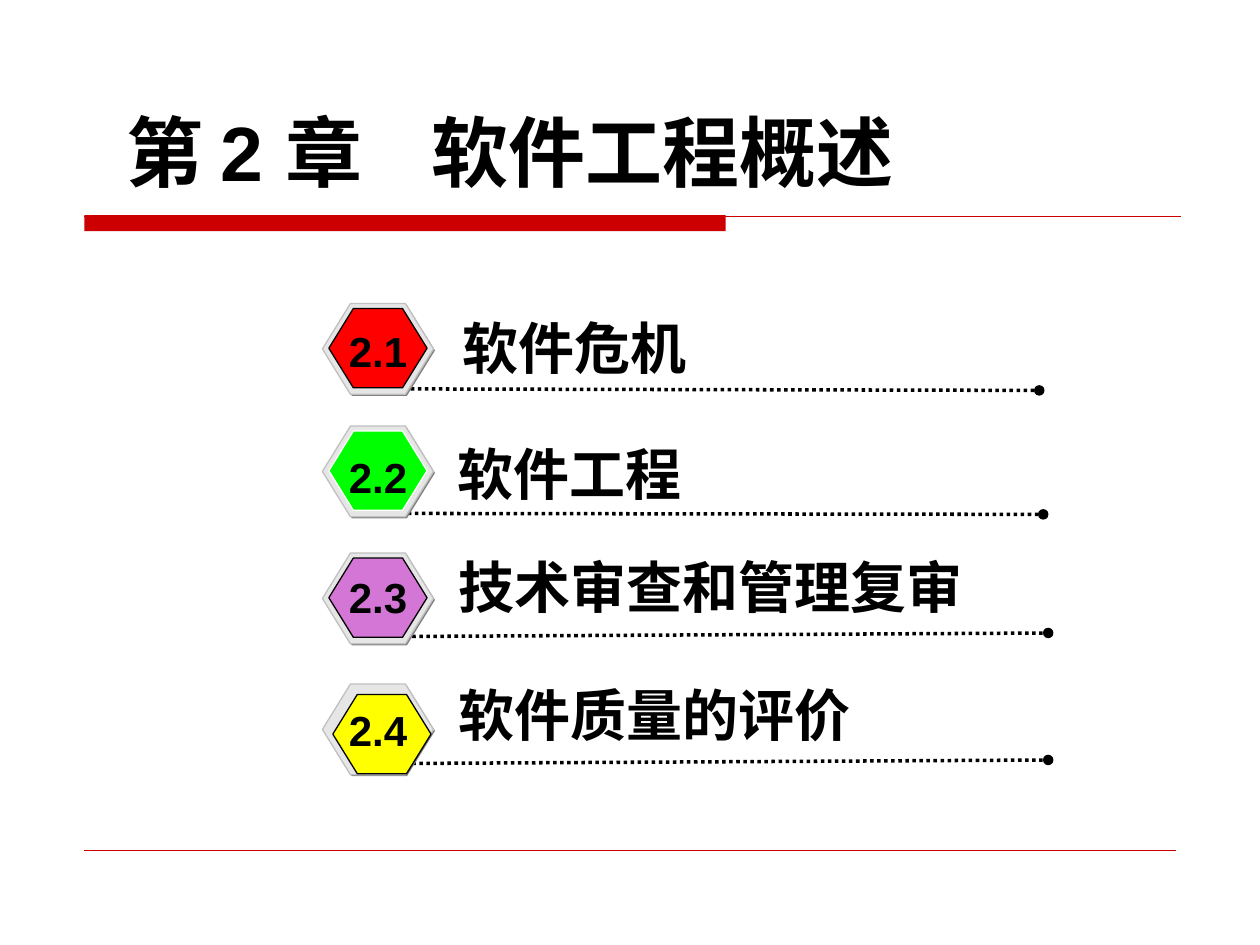
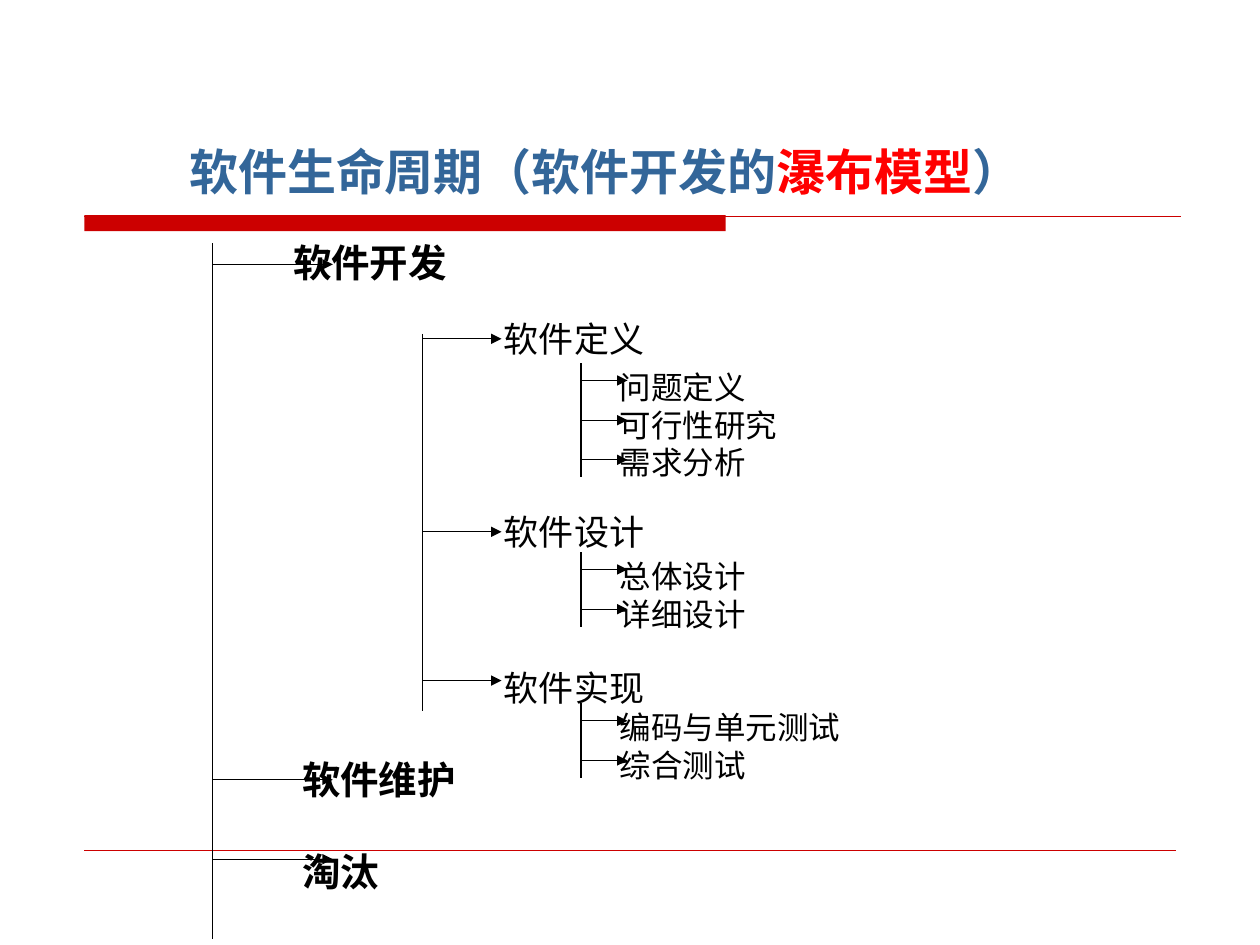
from lxml import etree
from pptx import Presentation
from pptx.dml.color import RGBColor
from pptx.enum.dml import MSO_LINE
from pptx.enum.shapes import MSO_CONNECTOR, MSO_SHAPE
from pptx.enum.text import MSO_ANCHOR, MSO_AUTO_SIZE, PP_ALIGN
from pptx.oxml.ns import qn
from pptx.util import Cm, Pt

HEXAGON, RECTANGLE = MSO_SHAPE.HEXAGON, MSO_SHAPE.RECTANGLE
STRAIGHT, DOTTED = MSO_CONNECTOR.STRAIGHT, MSO_LINE.ROUND_DOT
LEFT, CENTER = PP_ALIGN.LEFT, PP_ALIGN.CENTER
TOP, MIDDLE = MSO_ANCHOR.TOP, MSO_ANCHOR.MIDDLE
NO_FIT = MSO_AUTO_SIZE.NONE

BLACK, WHITE, CRIMSON, BLUE = "000000", "FFFFFF", "CC0000", "336699"
SANS, SERIF = "Arial", "Times New Roman"
rgb = RGBColor.from_string


def write(sp, lines, size, font=SANS, color=BLACK, bold=False,
          align=LEFT, anchor=TOP, wrap=True):
    """Fill a shape with paragraphs; a line is a string or (text, colour) runs."""
    tf = sp.text_frame
    tf.word_wrap, tf.auto_size, tf.vertical_anchor = wrap, NO_FIT, anchor
    for i, line in enumerate(lines):
        p = tf.add_paragraph() if i else tf.paragraphs[0]
        p.alignment = align
        for text, run_color in [(line, color)] if isinstance(line, str) else line:
            r = p.add_run()
            r.text = text
            r.font.name, r.font.size, r.font.bold = font, Pt(size), bold
            r.font.color.rgb = rgb(run_color)
            r._r.get_or_add_rPr().set("lang", "zh-CN")
    return tf


def add_line(s, x1, y1, x2, y2, color=BLACK, width=0.75, tail=None, dash=None):
    """Draw a straight line, with an optional head at its end."""
    c = s.shapes.add_connector(STRAIGHT, Cm(x1), Cm(y1), Cm(x2), Cm(y2))
    c.line.color.rgb, c.line.width = rgb(color), Pt(width)
    if dash:
        c.line.dash_style = dash
    if tail:
        etree.SubElement(c.line._get_or_add_ln(), qn("a:tailEnd"), type=tail)
    etree.SubElement(c._element.spPr, qn("a:effectLst"))
    return c


prs = Presentation()
prs.slide_width, prs.slide_height = Cm(25.4), Cm(19.05)
layout = prs.slide_layouts[5]

# Shared band and rules, kept on the layout
for ph in list(layout.placeholders):
    if ph.placeholder_format.idx:
        ph.element.getparent().remove(ph.element)
s = prs.slides.add_slide(layout)
band = s.shapes.add_shape(RECTANGLE, Cm(1.7), Cm(4.34), Cm(12.93), Cm(0.32))
band.shadow.inherit = False
band.fill.solid()
band.fill.fore_color.rgb = rgb(CRIMSON)
band.line.fill.background()
title_rule = add_line(s, 1.7, 4.36, 23.8, 4.36, CRIMSON)
footer_rule = add_line(s, 1.7, 17.15, 23.7, 17.15, CRIMSON, 0.25)
for sp in (band, title_rule, footer_rule):
    layout.shapes.element.append(sp._element)

# Slide 1: chapter contents
title = s.shapes.title
title.left, title.top, title.width, title.height = Cm(2.29), Cm(1.55), Cm(21.23), Cm(2.97)
tf = write(title, ["第 2 章\t软件工程概述"], 44, bold=True, anchor=MIDDLE)
tabs = etree.SubElement(tf.paragraphs[0]._p.get_or_add_pPr(), qn("a:tabLst"))
etree.SubElement(tabs, qn("a:tab"), pos=str(Cm(6.15)), algn="l")

# number, label, face colour, edge, rim top, face left and top,
# number top, label left and top, dotted line
sections = [
    ("2.1", "软件危机", "FF0000", BLACK, 6.12, 6.63, 6.22, 6.43, 9.07, 6.2,
     (8.28, 7.84, 20.95, 7.87)),
    ("2.2", "软件工程", "00FF00", WHITE, 8.59, 6.63, 8.69, 8.97, 8.97, 8.74,
     (8.08, 10.35, 21.03, 10.37)),
    ("2.3", "技术审查和管理复审", "D476D6", BLACK, 11.15, 6.63, 11.25, 11.4, 8.99, 11.02,
     (8.31, 12.83, 21.13, 12.76)),
    ("2.4", "软件质量的评价", "FFFF00", BLACK, 13.79, 6.71, 14.0, 14.07, 8.99, 13.59,
     (8.31, 15.39, 21.13, 15.32)),
]
for (number, label, fill, edge, rim_y, face_x, face_y,
     number_y, label_x, label_y, dots) in sections:
    add_line(s, *dots, width=2, tail="oval", dash=DOTTED)
    for x, y, w, h, color, outline in [
        (6.53, rim_y + 0.03, 2.24, 1.83, "808080", None),
        (6.5, rim_y, 2.24, 1.83, "E6E6E6", "C0C0C0"),
        (face_x, face_y, 1.98, 1.6, fill, edge),
    ]:
        sp = s.shapes.add_shape(HEXAGON, Cm(x), Cm(y), Cm(w), Cm(h))
        sp.adjustments[0] = 0.309
        sp.shadow.inherit = False
        sp.fill.solid()
        sp.fill.fore_color.rgb = rgb(color)
        if outline:
            sp.line.color.rgb, sp.line.width = rgb(outline), Pt(0.75)
        else:
            sp.line.fill.background()
    sp = s.shapes.add_textbox(Cm(6.78), Cm(number_y), Cm(1.68), Cm(1.27))
    write(sp, [number], 24, bold=True, align=CENTER, wrap=False)
    sp = s.shapes.add_textbox(Cm(label_x), Cm(label_y), Cm(13), Cm(1.63))
    write(sp, [label], 32, bold=True)

# Slide 2: life cycle tree
s = prs.slides.add_slide(layout)
title = s.shapes.title
title.left, title.top, title.width, title.height = Cm(2.2), Cm(2.72), Cm(20), Cm(1.5)
write(title, [[("软件生命周期（软件开发的", BLUE), ("瀑布模型", "FF0000"), ("）", BLUE)]],
      28, SERIF, bold=True, align=CENTER)

# Phases: name, text left and top, arrow height
phases = [
    ("软件开发", 5.66, 4.7, 5.33),
    ("软件维护", 5.84, 15.11, 15.72),
    ("淘汰", 5.84, 16.97, 17.32),
]
add_line(s, 4.29, 4.9, 4.29, 18.92)
for name, x, y, arrow_y in phases:
    sp = s.shapes.add_textbox(Cm(x), Cm(y), Cm(5), Cm(1.2))
    write(sp, [name], 22, SERIF, bold=True)
    add_line(s, 4.29, arrow_y, 6.71, arrow_y, tail="triangle")

# Development stages: name, text top, arrow height, steps top, steps
stages = [
    ("软件定义", 6.27, 6.83, 7.29, ["问题定义", "可行性研究", "需求分析"]),
    ("软件设计", 10.16, 10.72, 11.1, ["总体设计", "详细设计"]),
    ("软件实现", 13.31, 13.72, 14.15, ["编码与单元测试", "综合测试"]),
]
add_line(s, 8.51, 6.73, 8.51, 14.33)
for name, y, arrow_y, steps_y, steps in stages:
    sp = s.shapes.add_textbox(Cm(9.91), Cm(y), Cm(5), Cm(1.1))
    write(sp, [name], 20, SERIF)
    add_line(s, 8.51, arrow_y, 10.11, arrow_y, tail="triangle")

    sp = s.shapes.add_textbox(Cm(12.24), Cm(steps_y), Cm(6), Cm(0.25 + 0.76 * len(steps)))
    write(sp, steps, 18, SERIF)
    step_ys = [steps_y + 0.38 + 0.8 * i for i in range(len(steps))]
    add_line(s, 11.71, steps_y + 0.03, 11.71, step_ys[-1] + 0.35)
    for step_y in step_ys:
        add_line(s, 11.71, step_y, 12.65, step_y, tail="triangle")

prs.save("out.pptx")
